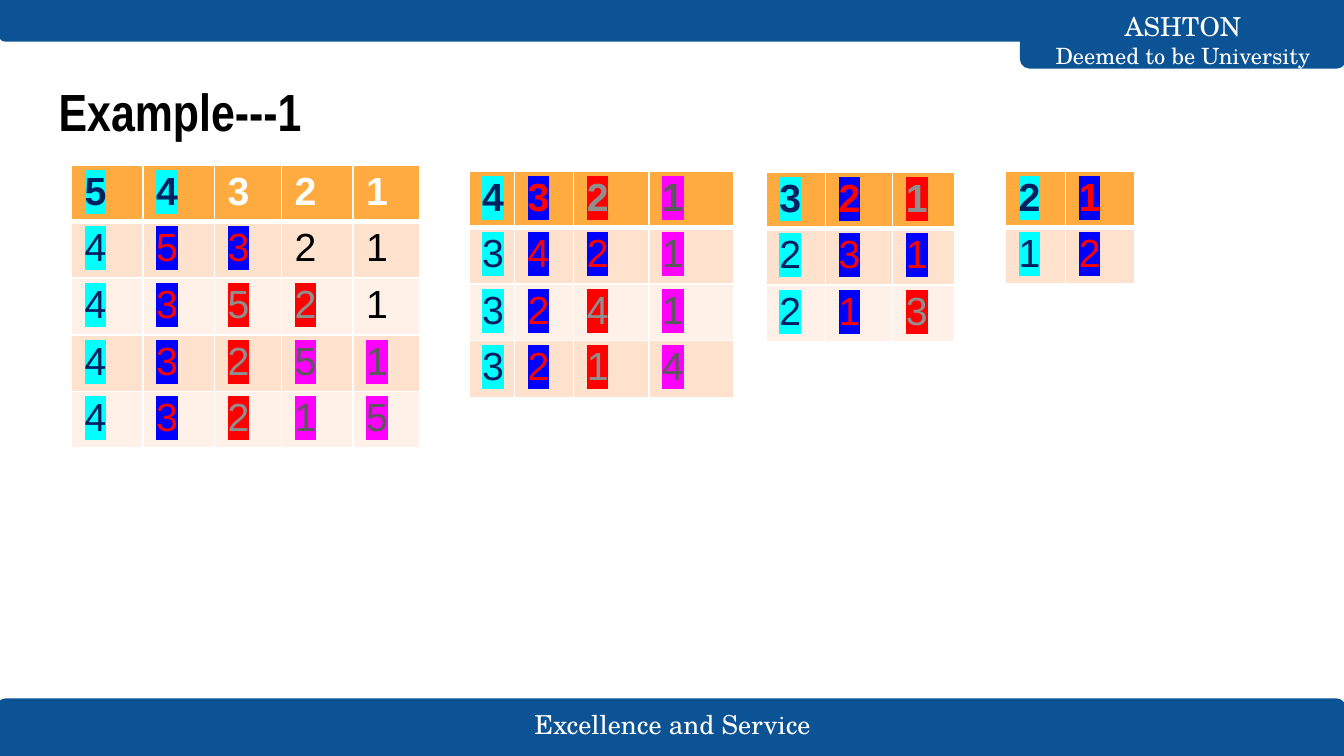
import lxml.etree
import pptx
import pptx.dml.color
import pptx.enum.shapes
import pptx.enum.text
import pptx.oxml.ns
import pptx.util

Cm = pptx.util.Cm
Pt = pptx.util.Pt
qn = pptx.oxml.ns.qn

BLUE = "0B5394"
SERIF = "TeX Gyre Schola"
ROW_FILLS = ["FFF1E8", "FFE2CD"]
MARKS = {
    "c": ("002060", "00FFFF"),
    "b": ("FF0000", "0000FF"),
    "r": ("8F8F8F", "FF0000"),
    "m": ("595959", "FF00FF"),
    "w": ("FFFFFF", None),
    "k": ("000000", None),
}
TABLES = [
    (1.35, 3.12, [1.35, 1.35, 1.27, 1.35, 1.27], 0.81,
     ["5c 4c 3w 2w 1w", "4c 5b 3b 2k 1k", "4c 3b 5r 2r 1k",
      "4c 3b 2r 5m 1m", "4c 3b 2r 1m 5m"]),
    (8.86, 3.23, [0.86, 1.12, 1.42, 1.6], 0.89,
     ["4c 3b 2r 1m", "3c 4b 2b 1m", "3c 2b 4r 1m", "3c 2b 1r 4m"]),
    (14.48, 3.25, [1.12, 1.27, 1.17], 1.02,
     ["3c 2b 1r", "2c 3b 1b", "2c 1b 3r"]),
    (19, 3.23, [1.14, 1.3], 1.02, ["2c 1b", "1c 2b"]),
]


def color(value):
    """Turn a hex string into a colour."""
    return pptx.dml.color.RGBColor.from_string(value)


def style_run(run, size, font, value, bold=False):
    """Format one run of text."""
    run.font.size = Pt(size)
    run.font.name = font
    run.font.bold = bold
    run.font.color.rgb = color(value)


def add_bar(page, left, top, width, height, rotation=0):
    """Add a blue bar with two rounded corners."""
    bar = page.shapes.add_shape(
        pptx.enum.shapes.MSO_SHAPE.ROUND_2_SAME_RECTANGLE,
        Cm(left), Cm(top), Cm(width), Cm(height))
    bar.adjustments[0] = 0.125
    bar.rotation = rotation
    bar.shadow.inherit = False
    bar.fill.solid()
    bar.fill.fore_color.rgb = color(BLUE)
    bar.line.color.rgb = color(BLUE)
    bar.line.width = Pt(1.5)


def add_text(page, left, top, width, height, text, sizes, font, value, centered=True, bold=False):
    """Add a text box with one size for each run."""
    box = page.shapes.add_textbox(Cm(left), Cm(top), Cm(width), Cm(height))
    frame = box.text_frame
    frame.word_wrap = True
    frame.margin_left = frame.margin_right = Cm(0.25)
    frame.margin_top = frame.margin_bottom = Cm(0.25)
    para = frame.paragraphs[0]
    para.text = text
    if centered:
        frame.vertical_anchor = pptx.enum.text.MSO_ANCHOR.MIDDLE
        para.alignment = pptx.enum.text.PP_ALIGN.CENTER
    for run, size in zip(para.runs, sizes):
        style_run(run, size, font, value, bold)


def add_solid(parent, value):
    """Append a solid fill to an XML element."""
    fill = lxml.etree.SubElement(parent, qn("a:solidFill"))
    lxml.etree.SubElement(fill, qn("a:srgbClr"), val=value)


def highlight(run, value):
    """Put a highlight colour behind a run."""
    properties = run._r.get_or_add_rPr()
    mark = lxml.etree.Element(qn("a:highlight"))
    lxml.etree.SubElement(mark, qn("a:srgbClr"), val=value)
    properties.find(qn("a:solidFill")).addnext(mark)


def set_borders(cell, top, bottom):
    """Draw white borders, with widths in points for top and bottom."""
    properties = cell._tc.get_or_add_tcPr()
    widths = {"a:lnL": 1, "a:lnR": 1, "a:lnT": top, "a:lnB": bottom}
    for index, (side, width) in enumerate(widths.items()):
        line = lxml.etree.Element(qn(side), w=str(Pt(width)))
        add_solid(line, "FFFFFF")
        properties.insert(index, line)


def fill_cell(cell, entry, row):
    """Write one digit with its mark and format its cell."""
    header = row == 0
    digit, mark = entry
    ink, back = MARKS[mark]
    cell.margin_left = cell.margin_right = Cm(0.25)
    cell.margin_top = cell.margin_bottom = Cm(0.09)
    cell.fill.solid()
    cell.fill.fore_color.rgb = color("FFAB40" if header else ROW_FILLS[row % 2])
    set_borders(cell, 3 if row == 1 else 1, 3 if header else 1)
    cell.text_frame.text = digit
    run = cell.text_frame.paragraphs[0].runs[0]
    style_run(run, 21, "Arial", ink, header)
    if back:
        highlight(run, back)


def add_number_table(page, left, top, widths, row_height, rows):
    """Add a table of marked digits."""
    table = page.shapes.add_table(
        len(rows), len(widths), Cm(left), Cm(top),
        Cm(sum(widths)), Cm(row_height * len(rows))).table
    for column, width in zip(table.columns, widths):
        column.width = Cm(width)
    for row, entries in enumerate(rows):
        table.rows[row].height = Cm(row_height)
        for column, entry in enumerate(entries.split()):
            fill_cell(table.cell(row, column), entry, row)


def main():
    """Build the slide and save it."""
    deck = pptx.Presentation()
    deck.slide_width = Cm(25.4)
    deck.slide_height = Cm(14.29)
    page = deck.slides.add_slide(deck.slide_layouts[6])
    add_bar(page, -0.03, 13.23, 25.43, 1.07)
    add_text(page, 9.3, 13.39, 6.83, 0.61, "Excellence and Service", [14], SERIF, "FFFFFF")
    add_bar(page, 19.3, 0, 6.12, 1.27, 180)
    add_bar(page, 0, 0, 25.43, 0.76, 180)
    add_text(page, 19.3, 0.51, 6.12, 0.48, "ASHTON\vDeemed to be University",
             [14, 12], SERIF, "FFFFFF")
    add_text(page, 0.86, 1.24, 23.67, 1.6, "Example---1", [28], "Arial Narrow", "000000",
             centered=False, bold=True)
    for table in TABLES:
        add_number_table(page, *table)
    deck.save("out.pptx")


if __name__ == "__main__":
    main()
